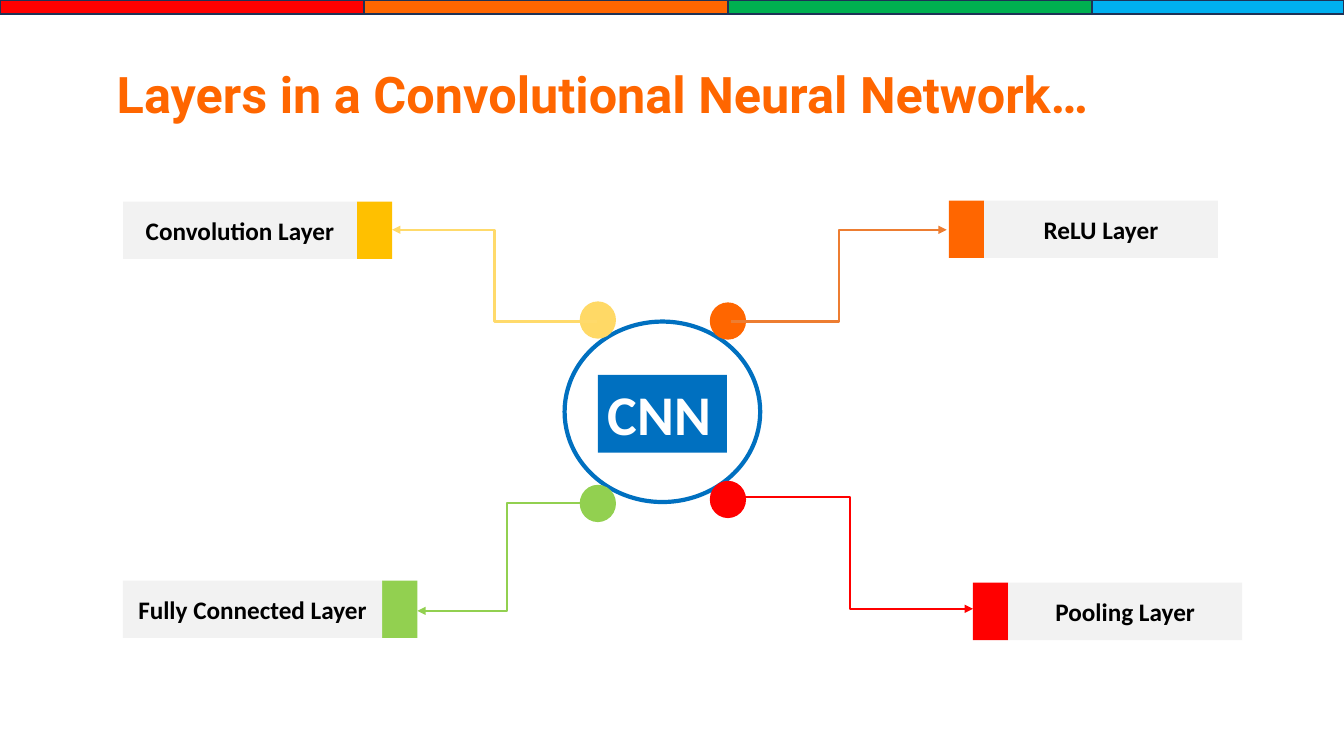
"""Build the slide on the layers in a convolutional neural network."""
from dataclasses import dataclass

from lxml import etree
from pptx import Presentation
from pptx.dml.color import RGBColor
from pptx.enum.shapes import MSO_CONNECTOR, MSO_SHAPE
from pptx.enum.text import MSO_ANCHOR, PP_ALIGN
from pptx.oxml.ns import qn
from pptx.util import Inches, Pt

RECT, OVAL = MSO_SHAPE.RECTANGLE, MSO_SHAPE.OVAL
ELBOW = MSO_CONNECTOR.ELBOW
TOP, MIDDLE = MSO_ANCHOR.TOP, MSO_ANCHOR.MIDDLE
LEFT, CENTER = PP_ALIGN.LEFT, PP_ALIGN.CENTER


@dataclass(frozen=True)
class Theme:
    orange: str = "FF6600"
    red: str = "FF0000"
    green: str = "00B050"
    sky: str = "00B0F0"
    blue: str = "0070C0"
    navy: str = "1E3256"
    gold: str = "FFC000"
    sand: str = "FFD966"
    straw: str = "FFDA6B"
    rust: str = "ED7D31"
    lime: str = "92D050"
    gray: str = "F2F2F2"
    white: str = "FFFFFF"
    black: str = "000000"
    head: str = "Roboto"
    body: str = "Calibri"
    title: int = 36
    hub: int = 40
    label: int = 18


T = Theme()
WIDE, HIGH = 13.33, 7.5
TITLE = "Layers in a Convolutional Neural Network…"
HUB = "CNN"
BANDS = [T.red, T.orange, T.green, T.sky]
BAND_W, BAND_H = 3.61, 0.14
DOT_W, DOT_H = 0.36, 0.37
TAB_W, BAR_H = 0.35, 0.57

LAYERS = [
    {"text": "ReLU Layer", "bar": (9.76, 1.99, 2.32), "tab": T.orange,
     "dot": (7.04, 3, T.orange), "link": (7.25, 3.19, 9.39, 2.28, T.rust)},
    {"text": "Convolution Layer", "bar": (1.22, 2, 2.32), "tab": T.gold,
     "dot": (5.75, 2.99, T.sand), "link": (5.92, 3.19, 3.89, 2.28, T.straw)},
    {"text": "Fully Connected Layer", "bar": (1.22, 5.76, 2.57), "tab": T.lime,
     "dot": (5.75, 4.81, T.lime), "link": (5.92, 4.99, 4.14, 6.06, T.lime)},
    {"text": "Pooling Layer", "bar": (10, 5.78, 2.32), "tab": T.red,
     "dot": (7.04, 4.77, T.red), "link": (7.22, 4.93, 9.65, 6.04, T.red)},
]


def paint(part, color):
    part.solid()
    part.fore_color.rgb = RGBColor.from_string(color)


def add_box(slide, kind, at, fill=None, line=None, width=1):
    box = slide.shapes.add_shape(kind, *map(Inches, at))
    box.shadow.inherit = False
    if fill:
        paint(box.fill, fill)
    else:
        box.fill.background()
    if line:
        paint(box.line.fill, line)
        box.line.width = Pt(width)
    else:
        box.line.fill.background()
    return box


def write(box, text, size, color, face=T.body, align=LEFT, anchor=TOP):
    frame = box.text_frame
    frame.word_wrap = True
    frame.vertical_anchor = anchor
    para = frame.paragraphs[0]
    para.alignment = align
    run = para.add_run()
    run.text = text
    look = {"name": face, "size": Pt(size), "bold": True}
    for key, value in look.items():
        setattr(run.font, key, value)
    run.font.color.rgb = RGBColor.from_string(color)


def add_link(slide, start_x, start_y, end_x, end_y, color):
    ends = map(Inches, (start_x, start_y, end_x, end_y))
    link = slide.shapes.add_connector(ELBOW, *ends)
    paint(link.line.fill, color)
    link.line.width = Pt(1.5)
    props = link._element.spPr
    etree.SubElement(props.find(qn("a:ln")), qn("a:tailEnd"), type="triangle")
    etree.SubElement(props, qn("a:effectLst"))


def add_label(slide, layer):
    left, top, width = layer["bar"]
    tab_x = left + width if left < WIDE / 2 else left - TAB_W
    add_box(slide, RECT, (tab_x, top, TAB_W, BAR_H), layer["tab"])
    bar = add_box(slide, RECT, (left, top, width, BAR_H), T.gray)
    write(bar, layer["text"], T.label, T.black, align=CENTER, anchor=MIDDLE)


def main():
    deck = Presentation()
    deck.slide_width, deck.slide_height = Inches(WIDE), Inches(HIGH)
    slide = deck.slides.add_slide(deck.slide_layouts[6])

    for col, color in enumerate(BANDS):
        left = col * BAND_W
        width = min(BAND_W, WIDE - left)
        add_box(slide, RECT, (left, 0, width, BAND_H), color, T.navy)

    add_box(slide, OVAL, (5.6, 3.19, 1.94, 1.79), line=T.blue, width=3)
    hub = add_box(slide, RECT, (5.93, 3.72, 1.28, 0.77), T.blue)
    write(hub, HUB, T.hub, T.white)

    for layer in LAYERS:
        left, top, color = layer["dot"]
        add_box(slide, OVAL, (left, top, DOT_W, DOT_H), color)
        add_link(slide, *layer["link"])
        add_label(slide, layer)

    title = slide.shapes.add_textbox(*map(Inches, (1.06, 0.58, 9.86, 0.71)))
    write(title, TITLE, T.title, T.orange, T.head)
    deck.save("out.pptx")


if __name__ == "__main__":
    main()
